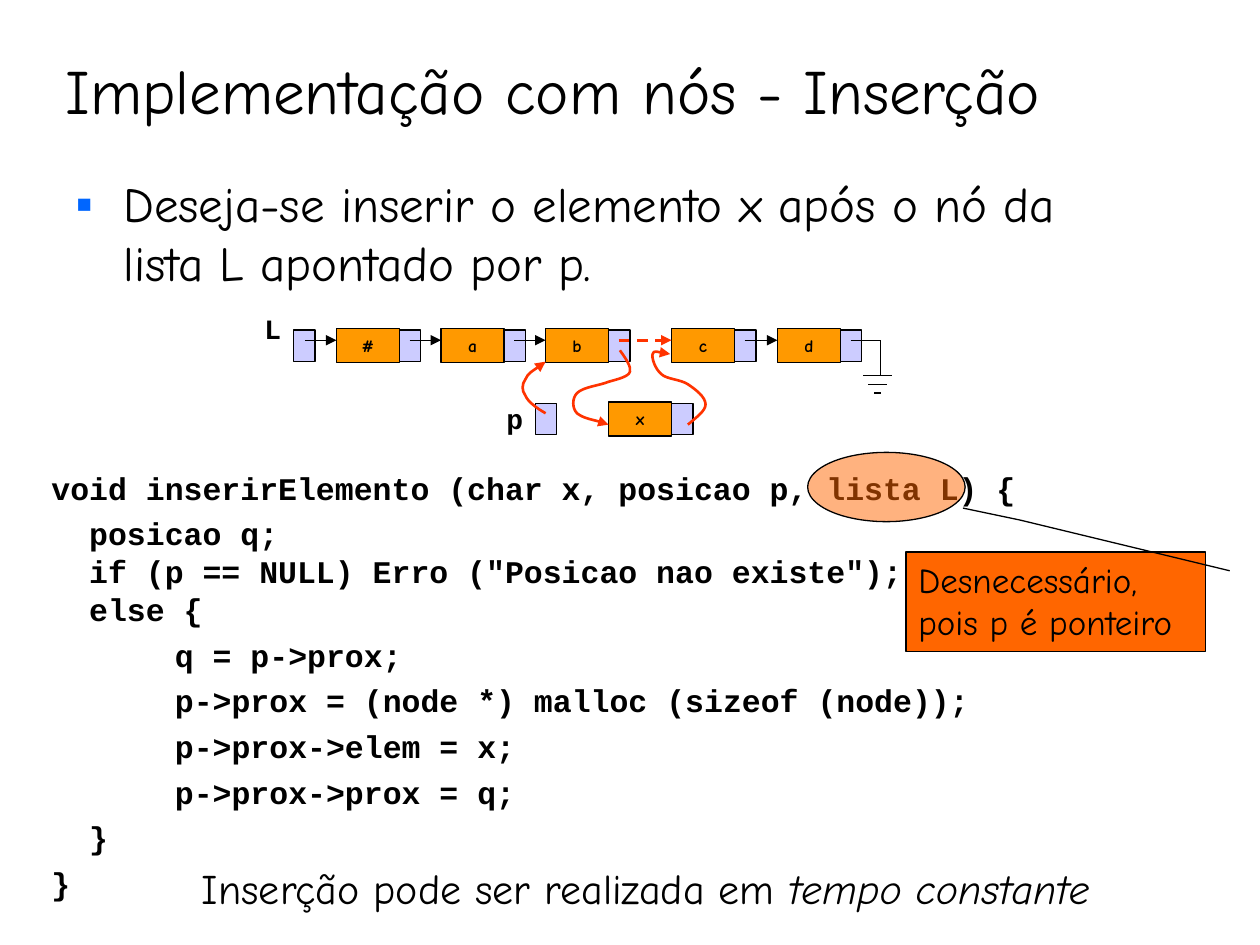
from dataclasses import dataclass

from lxml import etree
from pptx import Presentation
from pptx.dml.color import RGBColor
from pptx.enum import dml, shapes, text
from pptx.oxml import ns
from pptx.util import Inches, Pt

LEFT, CENTER = text.PP_ALIGN.LEFT, text.PP_ALIGN.CENTER
TOP, MIDDLE, BOTTOM = text.MSO_ANCHOR.TOP, text.MSO_ANCHOR.MIDDLE, text.MSO_ANCHOR.BOTTOM


@dataclass(frozen=True)
class Theme:
    prose: str = "Comic Neue"
    mono: str = "Courier New"
    ink: str = "000000"
    bullet: str = "0066FF"
    element: str = "FF9900"
    pointer: str = "CCCCFF"
    change: str = "FF3300"
    remark: str = "FF6600"
    title_size: float = 36
    body_size: float = 28
    summary_size: float = 24
    remark_size: float = 20
    code_size: float = 18
    name_size: float = 16
    node_size: float = 10
    thin: float = 0.75
    thick: float = 1.5


class ListSlide:
    def __init__(self, deck, theme):
        self.theme = theme
        self.slide = deck.slides.add_slide(deck.slide_layouts[1])

    def sub(self, parent, tag, **attributes):
        return etree.SubElement(parent, ns.qn(tag), **attributes)

    def style(self, paragraph, size, family=None, bold=False, align=LEFT, before=0):
        paragraph.alignment = align
        paragraph.space_before = Pt(before)
        font = paragraph.font
        font.name = family or self.theme.prose
        font.size = Pt(size)
        font.bold = bold
        font.color.rgb = RGBColor.from_string(self.theme.ink)

    def hang(self, paragraph):
        properties = paragraph._p.get_or_add_pPr()
        properties.set("marL", str(Inches(0.38)))
        properties.set("indent", str(-Inches(0.38)))
        return properties

    def placeholder(self, index, box, content, size, anchor):
        holder = self.slide.placeholders[index]
        holder.left, holder.top, holder.width, holder.height = map(Inches, box)
        frame = holder.text_frame
        frame.auto_size = text.MSO_AUTO_SIZE.NONE
        frame.vertical_anchor = anchor
        frame.text = content
        return frame.paragraphs[0], size

    def title(self, content, box):
        self.style(*self.placeholder(0, box, content, self.theme.title_size, BOTTOM))

    def bullet(self, content, box):
        paragraph, size = self.placeholder(1, box, content, self.theme.body_size, TOP)
        properties = self.hang(paragraph)
        color = self.sub(properties, "a:buClr")
        self.sub(color, "a:srgbClr", val=self.theme.bullet)
        self.sub(properties, "a:buChar", char="▪")
        self.style(paragraph, size)

    def textbox(self, box, wrap=True):
        frame = self.slide.shapes.add_textbox(*map(Inches, box)).text_frame
        frame.word_wrap = wrap
        return frame

    def name(self, content, left, top):
        frame = self.textbox((left, top, 0.33, 0.37), wrap=False)
        frame.text = content
        self.style(frame.paragraphs[0], self.theme.name_size, self.theme.mono, True)

    def code(self, lines, box):
        frame = self.textbox(box)
        frame.text = "\n".join(line for line, _ in lines)
        for paragraph, (_, before) in zip(frame.paragraphs, lines):
            self.hang(paragraph)
            self.style(paragraph, self.theme.code_size, self.theme.mono, True, before=before)

    def summary(self, plain, emphasis, box):
        paragraph = self.textbox(box).paragraphs[0]
        paragraph.add_run().text = plain
        stressed = paragraph.add_run()
        stressed.text = emphasis
        stressed.font.italic = True
        self.style(paragraph, self.theme.summary_size, align=CENTER)

    def shape(self, kind, box, fill):
        item = self.slide.shapes.add_shape(kind, *map(Inches, box))
        item.shadow.inherit = False
        item.fill.solid()
        item.fill.fore_color.rgb = RGBColor.from_string(fill)
        self.stroke(item, self.theme.ink, self.theme.thin)
        return item

    def stroke(self, item, color, width, arrow=False):
        item.line.color.rgb = RGBColor.from_string(color)
        item.line.width = Pt(width)
        if arrow:
            self.sub(item.line._get_or_add_ln(), "a:tailEnd", type="triangle")

    def pointer(self, left, top):
        self.shape(shapes.MSO_SHAPE.RECTANGLE, (left, top, 0.17, 0.25), self.theme.pointer)

    def node(self, content, left, top):
        element = self.shape(shapes.MSO_SHAPE.RECTANGLE, (left, top, 0.5, 0.27), self.theme.element)
        frame = element.text_frame
        frame.vertical_anchor = MIDDLE
        frame.text = content
        self.style(frame.paragraphs[0], self.theme.node_size, bold=True, align=CENTER)
        self.pointer(left + 0.5, top + 0.01)

    def line(self, start, end, arrow=False, changed=False):
        link = self.slide.shapes.add_connector(
            shapes.MSO_CONNECTOR.STRAIGHT, *map(Inches, start + end))
        if changed:
            link.line.dash_style = dml.MSO_LINE.DASH
        color = self.theme.change if changed else self.theme.ink
        self.stroke(link, color, self.theme.thick if changed else self.theme.thin, arrow)
        self.sub(link._element.spPr, "a:effectLst")

    def curve(self, points):
        start, *rest = [(Inches(x), Inches(y)) for x, y in points]
        builder = self.slide.shapes.build_freeform(*start)
        builder.add_line_segments(rest, close=False)
        link = builder.convert_to_shape()
        steps = list(link._element.iter(ns.qn("a:lnTo")))
        outline = steps[0].getparent()
        for first in range(0, len(steps), 3):
            bend = self.sub(outline, "a:cubicBezTo")
            for step in steps[first:first + 3]:
                bend.append(step[0])
                outline.remove(step)
        link.shadow.inherit = False
        link.fill.background()
        self.stroke(link, self.theme.change, self.theme.thick, arrow=True)

    def highlight(self, box):
        oval = self.shape(shapes.MSO_SHAPE.OVAL, box, self.theme.remark)
        color = next(oval._element.spPr.iter(ns.qn("a:srgbClr")))
        self.sub(color, "a:alpha", val="50000")

    def callout(self, lines, box, bends):
        remark = self.shape(shapes.MSO_SHAPE.LINE_CALLOUT_2, box, self.theme.remark)
        remark._element.spPr.xfrm.set("flipH", "1")
        for index, bend in enumerate(bends):
            remark.adjustments[index] = bend
        frame = remark.text_frame
        frame.vertical_anchor = TOP
        frame.text = "\n".join(lines)
        for paragraph in frame.paragraphs:
            self.style(paragraph, self.theme.remark_size)


def main():
    deck = Presentation()
    deck.slide_width, deck.slide_height = Inches(10), Inches(7.5)
    page = ListSlide(deck, Theme())
    page.title("Implementação com nós - Inserção", (0.42, 0.23, 9.08, 0.83))
    page.bullet("Deseja-se inserir o elemento x após o nó da lista L apontado por p.",
                (0.5, 1.33, 8.5, 1.12))
    page.code([("void inserirElemento (char x, posicao p, lista L) {", 0),
               ("  posicao q;", 4.5),
               ('  if (p == NULL) Erro ("Posicao nao existe");', 0),
               ("  else {", 0),
               ("\t    q = p->prox;", 4.5),
               ("\t    p->prox = (node *) malloc (sizeof (node));", 4.5),
               ("\t    p->prox->elem = x;", 4.5),
               ("\t    p->prox->prox = q;", 4.5),
               ("  }", 4.5),
               ("}", 4.5)], (0.31, 3.67, 7.97, 3.59))

    page.name("p", 3.92, 3.14)
    page.pointer(4.25, 3.2)
    page.name("L", 2, 2.42)
    page.pointer(2.33, 2.62)
    link_y = 2.7
    link_x = 2.42
    for element, left in zip("#abcd", (2.67, 3.5, 4.33, 5.33, 6.17)):
        page.node(element, left, 2.61)
        page.line((link_x, link_y), (left, link_y), arrow=True, changed=element == "c")
        link_x = left + 0.58
    page.node("x", 4.83, 3.19)

    ground_x, ground_y = 6.99, 2.98
    page.line((link_x, link_y), (ground_x, link_y))
    page.line((ground_x, link_y), (ground_x, ground_y))
    for left, right, y in ((6.85, 7.08, ground_y), (6.89, 7.04, 3.05), (6.94, 6.99, 3.12)):
        page.line((left, y), (right, y))

    page.curve([(4.33, 3.28), (4.26, 3.24), (4.19, 3.19), (4.17, 3.14), (4.14, 3.1),
                (4.14, 3.05), (4.17, 3.01), (4.19, 2.96), (4.31, 2.89), (4.33, 2.87)])
    page.curve([(4.92, 2.78), (4.97, 2.85), (5.01, 2.91), (5, 2.95), (4.99, 2.99),
                (4.9, 3.01), (4.83, 3.03), (4.76, 3.06), (4.63, 3.07), (4.58, 3.12),
                (4.54, 3.16), (4.54, 3.24), (4.58, 3.28), (4.63, 3.32), (4.79, 3.35),
                (4.83, 3.37)])
    page.curve([(5.46, 3.37), (5.53, 3.31), (5.6, 3.26), (5.6, 3.21), (5.6, 3.15),
                (5.52, 3.09), (5.46, 3.05), (5.4, 3.01), (5.29, 3.01), (5.25, 2.97),
                (5.2, 2.93), (5.17, 2.84), (5.18, 2.81), (5.19, 2.78), (5.25, 2.8),
                (5.32, 2.81)])

    page.summary("Inserção pode ser realizada em ", "tempo constante", (1.25, 6.8, 7.75, 0.5))
    page.highlight((6.41, 3.59, 1.25, 0.55))
    page.callout(["Desnecessário,", "pois p é ponteiro"], (7.19, 4.38, 2.38, 0.79),
                 (0.19, -0.08, -0.32, 0.62, -0.44, 0.81))
    deck.save("out.pptx")


if __name__ == "__main__":
    main()
